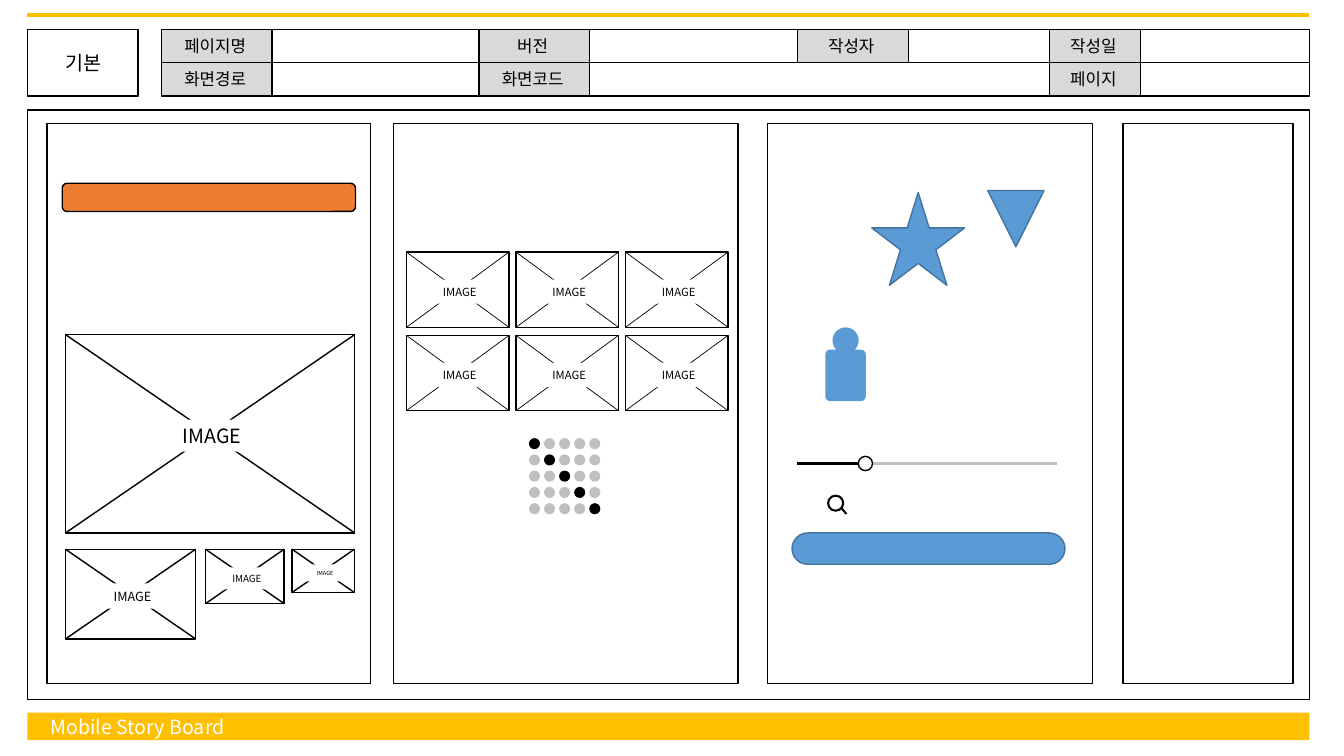
from lxml import etree
from pptx import Presentation, util as u
from pptx.dml import color
from pptx.enum import shapes, text
from pptx.oxml import ns

FONT = "Noto Sans CJK KR"
BLACK, WHITE, GRAY, SILVER = "000000", "FFFFFF", "D9D9D9", "BFBFBF"
AMBER, ORANGE, BLUE, NAVY = "FFC000", "ED7D31", "5B9BD5", "43739E"
KIND = shapes.MSO_SHAPE


def rgb(code):
    """Turn a hex string into a colour."""
    return color.RGBColor.from_string(code)


def draw(canvas, kind, box, fill=None, line=None, weight=1):
    """Add a preset shape in a box given in centimetres."""
    shape = canvas.add_shape(kind, *map(u.Cm, box))
    shape.shadow.inherit = False
    if fill:
        shape.fill.solid()
        shape.fill.fore_color.rgb = rgb(fill)
    else:
        shape.fill.background()
    if line:
        shape.line.color.rgb = rgb(line)
        shape.line.width = u.Pt(weight)
    else:
        shape.line.fill.background()
    return shape


def rule(canvas, start, end, ink=BLACK, weight=1):
    """Add a straight line between two points in centimetres."""
    stroke = canvas.add_connector(shapes.MSO_CONNECTOR.STRAIGHT, *map(u.Cm, start + end))
    stroke.line.color.rgb = rgb(ink)
    stroke.line.width = u.Pt(weight)
    etree.SubElement(stroke._element.spPr, ns.qn("a:effectLst"))


def write(holder, wording, size, ink=BLACK, align=text.PP_ALIGN.CENTER):
    """Write one run into a shape or text box."""
    frame = holder.text_frame
    frame.word_wrap = True
    frame.auto_size = text.MSO_AUTO_SIZE.SHAPE_TO_FIT_TEXT
    paragraph = frame.paragraphs[0]
    paragraph.alignment = align
    run = paragraph.add_run()
    run.text = wording
    run.font.size = u.Pt(size)
    run.font.name = FONT
    run.font.color.rgb = rgb(ink)
    latin = run.font._element.find(ns.qn("a:latin"))
    latin.addnext(etree.Element(ns.qn("a:ea"), typeface=FONT))


def label(canvas, box, wording, size, **style):
    """Add a text box with one line of wording."""
    write(canvas.add_textbox(*map(u.Cm, box)), wording, size, **style)


def header(canvas, box):
    """Draw the title box and the grid of page details."""
    left, top, width, height = box
    row, title_width, grid_offset = height / 2, 2.79, 3.38
    grid = left + grid_offset
    draw(canvas, KIND.RECTANGLE, (left, top, title_width, height), line=BLACK)
    draw(canvas, KIND.RECTANGLE, (grid, top, width - grid_offset, height), line=BLACK)
    columns = [(0, 2.79, ["페이지명", "화면경로"]), (8, 2.79, ["버전", "화면코드"]),
               (16.03, 2.79, ["작성자"]), (22.38, 2.29, ["작성일", "페이지"])]
    for offset, cell_width, names in columns:
        cell = (grid + offset, top, cell_width, row * len(names))
        draw(canvas, KIND.RECTANGLE, cell, GRAY, BLACK)
    rule(canvas, (grid, top + row), (left + width, top + row))
    label(canvas, (left + 0.2, top + 0.41, 2.41, 0.86), "기본", 14)
    for offset, cell_width, names in columns:
        for index, name in enumerate(names):
            x = grid + offset + (cell_width - 2.41) / 2 - 0.04
            label(canvas, (x, top + 0.03 + index * row, 2.41, 0.76), name, 12)


def image_slot(canvas, box, size, caption, weight=1):
    """Draw a crossed frame with a caption in its middle."""
    left, top, width, height = box
    right, bottom = left + width, top + height
    slot = canvas.add_group_shape().shapes
    draw(slot, KIND.RECTANGLE, box, line=BLACK)
    rule(slot, (left, top), (right, bottom), weight=weight)
    rule(slot, (right, top), (left, bottom), weight=weight)
    x = left + (width - caption[0]) / 2 + 0.05
    y = top + (height - caption[1]) / 2 + 0.05
    plate = draw(slot, KIND.RECTANGLE, (x, y, *caption), WHITE)
    plate.text_frame.margin_left = plate.text_frame.margin_right = u.Cm(0.2)
    write(plate, "IMAGE", size)


def gallery_panel(canvas, box):
    """Draw the panel with a bar, a main image and thumbnails."""
    left, top, _, _ = box
    draw(canvas, KIND.RECTANGLE, box, line=BLACK)
    draw(canvas, KIND.ROUNDED_RECTANGLE, (left + 0.38, top + 1.5, 7.39, 0.71), ORANGE, BLACK)
    for x, y, width, height, size, caption in [
            (0.46, 5.31, 7.29, 5, 14, (2.29, 0.81)),
            (0.46, 10.72, 3.28, 2.26, 9, (2.08, 0.64)),
            (3.99, 10.72, 1.98, 1.37, 7, (1.27, 0.56)),
            (6.17, 10.72, 1.57, 1.09, 4, (0.99, 0.43))]:
        image_slot(canvas, (left + x, top + y, width, height), size, caption)


def grid_panel(canvas, box):
    """Draw the panel with an image grid and page indicators."""
    left, top, _, _ = box
    draw(canvas, KIND.RECTANGLE, box, line=BLACK)
    for row in range(2):
        for column in range(3):
            slot = (left + 0.33 + column * 2.76, top + 3.23 + row * 2.1, 2.59, 1.9)
            image_slot(canvas, slot, 8, (1.5, 0.61), 0.5)
    for page in range(5):
        indicator = canvas.add_group_shape().shapes
        for dot in range(5):
            spot = (left + 3.42 + dot * 0.38, top + 7.92 + page * 0.41, 0.28, 0.28)
            draw(indicator, KIND.OVAL, spot, BLACK if dot == page else SILVER)


def icon_panel(canvas, box):
    """Draw the panel with icons, a slider and a button."""
    left, top, _, _ = box
    draw(canvas, KIND.RECTANGLE, box, line=BLACK)
    draw(canvas, KIND.STAR_5_POINT, (left + 2.62, top + 1.73, 2.34, 2.34), BLUE, NAVY)
    triangle = draw(canvas, KIND.FLOWCHART_EXTRACT,
                    (left + 5.54, top + 1.68, 1.42, 1.42), BLUE, NAVY)
    triangle.rotation = 180

    person = canvas.add_group_shape().shapes
    draw(person, KIND.OVAL, (left + 1.63, top + 5.13, 0.66, 0.66), BLUE)
    body = draw(person, KIND.ROUNDED_RECTANGLE, (left + 1.45, top + 5.69, 1.02, 1.3), BLUE)
    body.adjustments[0] = 0.12

    track, value = top + 8.56, left + 2.46
    rule(canvas, (left + 0.74, track), (value, track), weight=2.25)
    rule(canvas, (value, track), (left + 7.29, track), SILVER, 2.25)
    draw(canvas, KIND.OVAL, (value - 0.18, track - 0.18, 0.36, 0.36), WHITE, BLACK)

    search = canvas.add_group_shape().shapes
    draw(search, KIND.OVAL, (left + 1.52, top + 9.37, 0.38, 0.38), WHITE, BLACK, 1.5)
    rule(search, (left + 1.85, top + 9.68), (left + 1.98, top + 9.83), weight=1.5)

    button = draw(canvas, KIND.ROUNDED_RECTANGLE,
                  (left + 0.61, top + 10.31, 6.88, 0.79), BLUE, NAVY)
    button.adjustments[0] = 0.5


def footer(canvas, box):
    """Draw the bottom band with the board title."""
    left, top, _, _ = box
    draw(canvas, KIND.RECTANGLE, box, AMBER)
    label(canvas, (left + 0.33, top - 0.08, 8.89, 0.86), "Mobile Story Board", 14,
          ink=WHITE, align=text.PP_ALIGN.LEFT)


def story_board(canvas, box):
    """Lay out the whole board inside its margins."""
    left, top, width, _ = box
    rule(canvas, (left, top), (left + width, top), AMBER, 3)
    footer(canvas, (left, top + 17.58, width, 0.69))
    header(canvas, (left, top + 0.36, width, 1.68))
    draw(canvas, KIND.RECTANGLE, (left, top + 2.39, width, 14.86), line=BLACK)
    panel_top, panel_height = top + 2.74, 14.1
    gallery_panel(canvas, (left + 0.5, panel_top, 8.15, panel_height))
    grid_panel(canvas, (left + 9.22, panel_top, 8.69, panel_height))
    icon_panel(canvas, (left + 18.66, panel_top, 8.18, panel_height))
    draw(canvas, KIND.RECTANGLE, (left + 27.61, panel_top, 4.29, panel_height), line=BLACK)


deck = Presentation()
deck.slide_width, deck.slide_height = u.Cm(33.87), u.Cm(19.05)
board = deck.slides.add_slide(deck.slide_layouts[6])
story_board(board.shapes, (0.69, 0.38, 32.31, 18.27))
deck.save("out.pptx")
